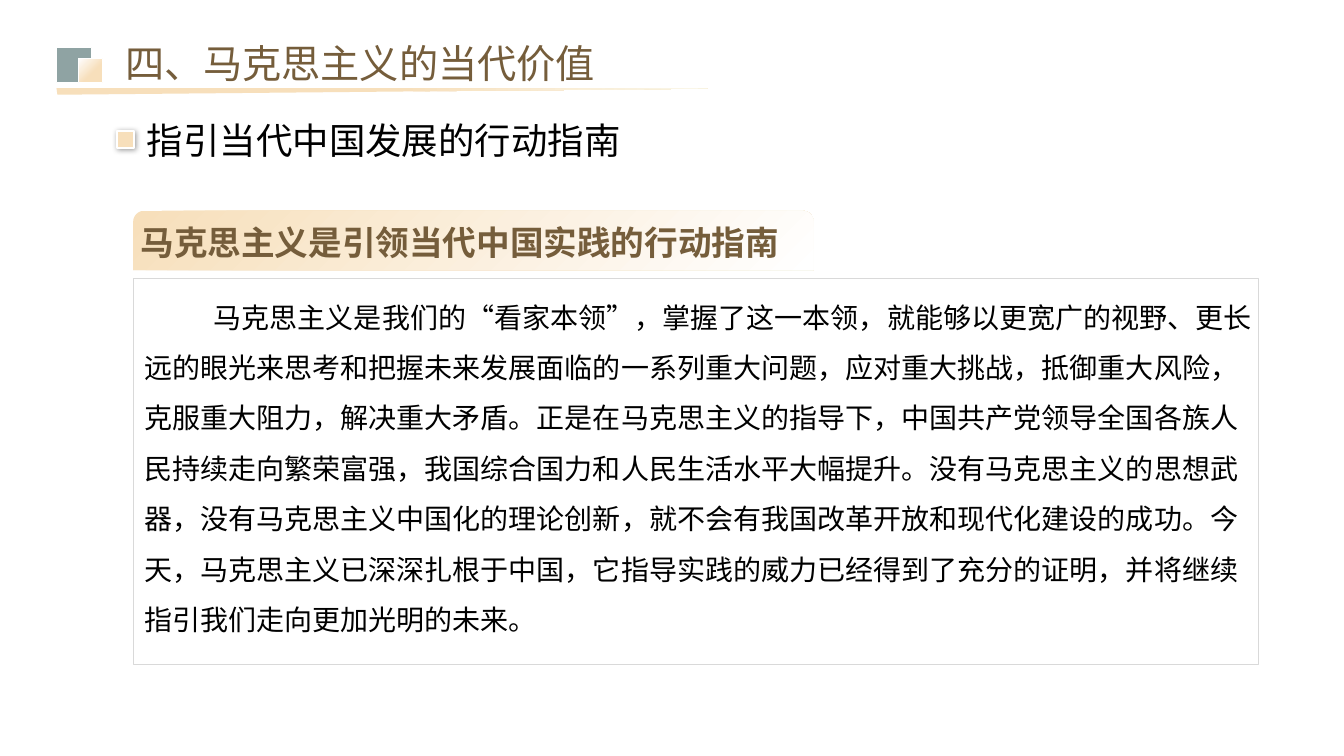
from lxml import etree
from pptx import Presentation
from pptx.dml.color import RGBColor
from pptx.enum.shapes import MSO_SHAPE
from pptx.enum.text import MSO_ANCHOR, MSO_AUTO_SIZE, PP_ALIGN
from pptx.oxml.ns import qn
from pptx.util import Inches, Pt

RECT = MSO_SHAPE.RECTANGLE
TAB = MSO_SHAPE.ROUND_2_SAME_RECTANGLE
TOP, MIDDLE = MSO_ANCHOR.TOP, MSO_ANCHOR.MIDDLE
LEFT, JUSTIFY = PP_ALIGN.LEFT, PP_ALIGN.JUSTIFY
NO_FIT = MSO_AUTO_SIZE.NONE

WHITE = RGBColor(0xFF, 0xFF, 0xFF)
BLACK = RGBColor(0, 0, 0)
BROWN = RGBColor(0x75, 0x5D, 0x3B)
SAND = RGBColor(0xF7, 0xDF, 0xBB)
CREAM = RGBColor(0xFC, 0xFB, 0xEF)
TEAL = RGBColor(0x45, 0x67, 0x66)
GREY = RGBColor(0xD9, 0xD9, 0xD9)
FONT = "Noto Sans CJK SC"

TITLE = "四、马克思主义的当代价值"
POINT = "指引当代中国发展的行动指南"
HEAD = "马克思主义是引领当代中国实践的行动指南"
BODY = (
    "马克思主义是我们的“看家本领”，掌握了这一本领，就能够以更宽广的视野、更长远的眼光来思考和把握未来发展面临的一系列重大问题，"
    "应对重大挑战，抵御重大风险，克服重大阻力，解决重大矛盾。"
    "正是在马克思主义的指导下，中国共产党领导全国各族人民持续走向繁荣富强，我国综合国力和人民生活水平大幅提升。"
    "没有马克思主义的思想武器，没有马克思主义中国化的理论创新，就不会有我国改革开放和现代化建设的成功。"
    "今天，马克思主义已深深扎根于中国，它指导实践的威力已经得到了充分的证明，并将继续指引我们走向更加光明的未来。"
)


def place(shape, x, y, w, h):
    """Move a shape to a box given in inches."""
    shape.left, shape.top = Inches(x), Inches(y)
    shape.width, shape.height = Inches(w), Inches(h)


def write(shape, text, size, color=BLACK, bold=False, align=LEFT, anchor=TOP,
          space=1.0, indent=0, inset=(0.1, 0.05)):
    """Put one formatted paragraph into a shape."""
    frame = shape.text_frame
    frame.word_wrap = True
    frame.auto_size = NO_FIT
    frame.vertical_anchor = anchor
    frame.margin_left, frame.margin_right = Inches(inset[0]), Inches(0.1)
    frame.margin_top = frame.margin_bottom = Inches(inset[1])
    para = frame.paragraphs[0]
    props = para._p.get_or_add_pPr()
    props.set("marL", "0")
    props.set("indent", str(Inches(indent)))
    etree.SubElement(props, qn("a:buNone"))
    para.alignment, para.line_spacing = align, space
    para.space_before = Pt(0)
    run = para.add_run()
    run.text = text
    font = run.font
    font.size, font.bold, font.name = Pt(size), bold, FONT
    font.color.rgb = color
    east = etree.SubElement(run._r.get_or_add_rPr(), qn("a:ea"))
    east.set("typeface", FONT)


def fade(shape, start, end, angle=0):
    """Fill a shape with a gradient between two (position, colour) stops."""
    shape.fill.gradient()
    shape.fill.gradient_angle = angle
    for stop, (spot, color) in zip(shape.fill.gradient_stops, (start, end)):
        stop.position, stop.color.rgb = spot, color


def clear(shape, percent):
    """Set the opacity of a solid fill."""
    color = shape._element.spPr.find(qn("a:solidFill"))[0]
    etree.SubElement(color, qn("a:alpha")).set("val", str(percent * 1000))


def block(slide, x, y, w, h, fill=None, line=None, width=1, kind=RECT):
    """Add a flat preset shape."""
    shape = slide.shapes.add_shape(kind, Inches(x), Inches(y), Inches(w), Inches(h))
    shape.shadow.inherit = False
    if fill is not None:
        shape.fill.solid()
        shape.fill.fore_color.rgb = fill
    if line is None:
        shape.line.fill.background()
    else:
        shape.line.color.rgb = line
        shape.line.width = Pt(width)
    return shape


def banner(slide, x, y, w):
    """Draw the slide title with its squares and tapering rule."""
    title = slide.shapes.title
    place(title, x + 0.58, y, 6.1, 0.57)
    write(title, TITLE, 28, BROWN)
    path = slide.shapes.build_freeform(Inches(x), Inches(y + 0.53), scale=1.0)
    ends = [(x + w, y + 0.54), (x + 0.01, y + 0.6)]
    path.add_line_segments([(Inches(a), Inches(b)) for a, b in ends])
    rule = path.convert_to_shape()
    rule.shadow.inherit = False
    rule.line.fill.background()
    fade(rule, (0.53, SAND), (1, CREAM))
    clear(block(slide, x, y + 0.13, 0.35, 0.35, TEAL, WHITE), 60)
    small = block(slide, x + 0.22, y + 0.24, 0.24, 0.24, line=WHITE)
    fade(small, (0, WHITE), (0.6, SAND), 315)


def point(slide, x, y, w, h):
    """Draw the key point with its raised square marker."""
    box = slide.shapes.add_textbox(Inches(x + 0.2), Inches(y), Inches(w - 0.2), Inches(h))
    write(box, POINT, 26, align=JUSTIFY)
    mark = block(slide, x, y + 0.18, 0.17, 0.17, SAND, WHITE)
    effects = mark._element.spPr.find(qn("a:effectLst"))
    shade = etree.SubElement(effects, qn("a:outerShdw"), blurRad=str(Pt(4)),
                             dist=str(Pt(1)), dir=str(45 * 60000))
    color = etree.SubElement(shade, qn("a:srgbClr"), val=str(BLACK))
    etree.SubElement(color, qn("a:alpha"), val="40000")


def panel(slide, x, y, w, h):
    """Draw the headed panel with its body text."""
    head = block(slide, x, y, 6.75, 0.59, kind=TAB)
    head.adjustments[0], head.adjustments[1] = 0.19, 0
    fade(head, (0.01, SAND), (1, WHITE), 315)
    write(head, HEAD, 24, BROWN, bold=True, anchor=MIDDLE, inset=(0.04, 0))
    frame = block(slide, x, y + 0.67, w, h - 0.67, WHITE, GREY, 0.75)
    clear(frame, 24)
    body = slide.placeholders[1]
    body._element.addprevious(frame._element)
    place(body, x + 0.01, y + 0.67, w + 0.14, 3.63)
    write(body, BODY, 20, space=1.5, indent=0.69)


def main():
    """Build and save the slide."""
    deck = Presentation()
    deck.slide_width, deck.slide_height = Inches(13.33), Inches(7.5)
    slide = deck.slides.add_slide(deck.slide_layouts[1])
    slide.background.fill.solid()
    slide.background.fill.fore_color.rgb = WHITE
    banner(slide, 0.56, 0.34, 6.46)
    point(slide, 1.16, 1.12, 5.64, 0.54)
    panel(slide, 1.32, 2.09, 11.16, 4.5)
    deck.save("out.pptx")


if __name__ == "__main__":
    main()
